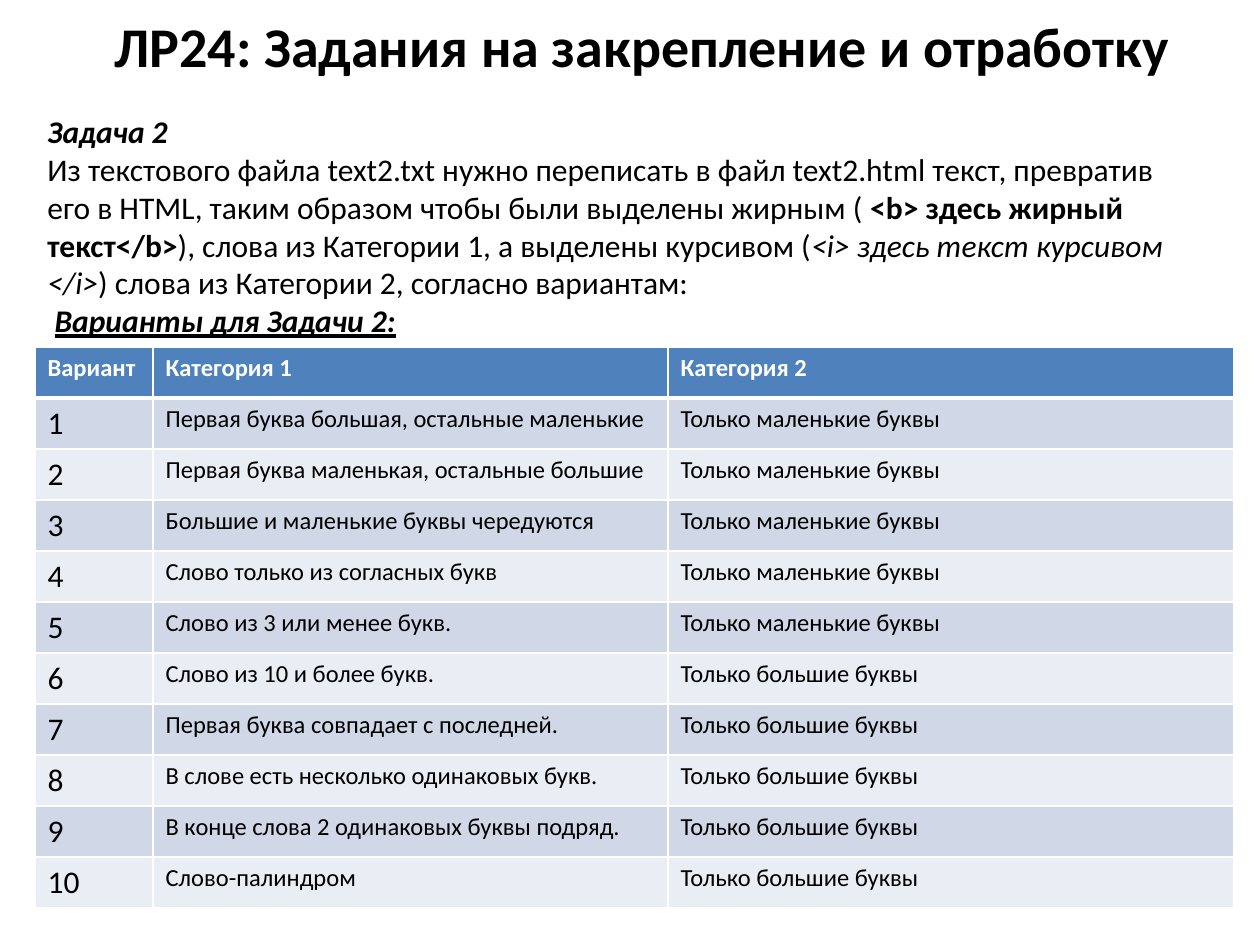
from lxml.etree import SubElement
from pptx import Presentation
from pptx.dml.color import RGBColor
from pptx.enum.text import MSO_ANCHOR, PP_ALIGN
from pptx.oxml.ns import qn
from pptx.util import Pt

PX = 914400 // 126
FONT = "Calibri"
BLACK, WHITE = "000000", "FFFFFF"
HEADER_FILL = "4F81BD"
BAND_FILLS = ("D0D8E8", "E9EDF4")

TITLE = "ЛР24: Задания на закрепление и отработку"
# Each paragraph is a list of (text, style letters): b bold, i italic, u underlined
TASK = [
    [("Задача 2", "bi")],
    [("Из текстового файла text2.txt нужно переписать в файл text2.html текст, "
      "превратив его в HTML, таким образом чтобы были выделены жирным ( ", ""),
     ("<b> здесь жирный текст</b>", "b"),
     ("), слова из Категории 1, а выделены курсивом (", ""),
     ("<i> здесь текст курсивом </i>", "i"),
     (") слова из Категории 2, согласно вариантам:", "")],
    [(" ", ""), ("Варианты для Задачи 2:", "biu")],
]

HEADERS = ("Вариант", "Категория 1", "Категория 2")
LOWER, UPPER = "Только маленькие буквы", "Только большие буквы"
VARIANTS = [
    ("Первая буква большая, остальные маленькие", LOWER),
    ("Первая буква маленькая, остальные большие", LOWER),
    ("Большие и маленькие буквы чередуются", LOWER),
    ("Слово только из согласных букв", LOWER),
    ("Слово из 3 или менее букв.", LOWER),
    ("Слово из 10 и более букв.", UPPER),
    ("Первая буква совпадает с последней.", UPPER),
    ("В слове есть несколько одинаковых букв.", UPPER),
    ("В конце слова 2 одинаковых буквы подряд.", UPPER),
    ("Слово-палиндром", UPPER),
]
COLUMN_WIDTHS = (118, 515, 566)
ROW_HEIGHT = 51


def px(*lengths):
    return [length * PX for length in lengths]


def rgb(color):
    return RGBColor.from_string(color)


def style_run(run, size, color=BLACK, style=""):
    font = run.font
    font.name, font.size = FONT, Pt(size)
    font.color.rgb = rgb(color)
    font.bold, font.italic, font.underline = (letter in style for letter in "biu")


def add_text(slide, box, paragraphs, size, align=PP_ALIGN.LEFT, anchor=MSO_ANCHOR.TOP):
    frame = slide.shapes.add_textbox(*px(*box)).text_frame
    frame.word_wrap = True
    frame.vertical_anchor = anchor
    for index, pieces in enumerate(paragraphs):
        paragraph = frame.add_paragraph() if index else frame.paragraphs[0]
        paragraph.alignment = align
        for text, style in pieces:
            run = paragraph.add_run()
            run.text = text
            style_run(run, size, style=style)


def fill_cell(cell, text, fill, size, color=BLACK, style=""):
    cell.text = text
    cell.fill.solid()
    cell.fill.fore_color.rgb = rgb(fill)
    style_run(cell.text_frame.paragraphs[0].runs[0], size, color, style)


def border_cell(cell, widths):
    """Draw white borders; widths maps a side (L, R, T, B) to points."""
    properties = cell._tc.get_or_add_tcPr()
    for position, (side, width) in enumerate(widths.items()):
        line = SubElement(properties, qn(f"a:ln{side}"), w=str(Pt(width)))
        SubElement(SubElement(line, qn("a:solidFill")), qn("a:srgbClr"), val=WHITE)
        properties.insert(position, line)


def add_variants_table(slide, left, top):
    row_count = len(VARIANTS) + 1
    box = px(left, top, sum(COLUMN_WIDTHS), ROW_HEIGHT * row_count)
    table = slide.shapes.add_table(row_count, len(HEADERS), *box).table
    for column, width in zip(table.columns, px(*COLUMN_WIDTHS)):
        column.width = width
    for row in table.rows:
        row.height = ROW_HEIGHT * PX

    for column, header in enumerate(HEADERS):
        cell = table.cell(0, column)
        fill_cell(cell, header, HEADER_FILL, 14, WHITE, "b")
        border_cell(cell, {"L": 1, "R": 1, "T": 1, "B": 3})
    for number, categories in enumerate(VARIANTS, start=1):
        fill = BAND_FILLS[(number - 1) % 2]
        fill_cell(table.cell(number, 0), str(number), fill, 18)
        for column, category in enumerate(categories, start=1):
            fill_cell(table.cell(number, column), category, fill, 14)


def main():
    presentation = Presentation()
    presentation.slide_width, presentation.slide_height = px(1260, 945)
    slide = presentation.slides.add_slide(presentation.slide_layouts[6])
    add_text(slide, (25, 16, 1235, 58), [[(TITLE, "b")]], 32,
             PP_ALIGN.CENTER, MSO_ANCHOR.MIDDLE)
    add_text(slide, (35, 106, 1171, 242), TASK, 18)
    add_variants_table(slide, 35, 347)
    presentation.save("out.pptx")


if __name__ == "__main__":
    main()
